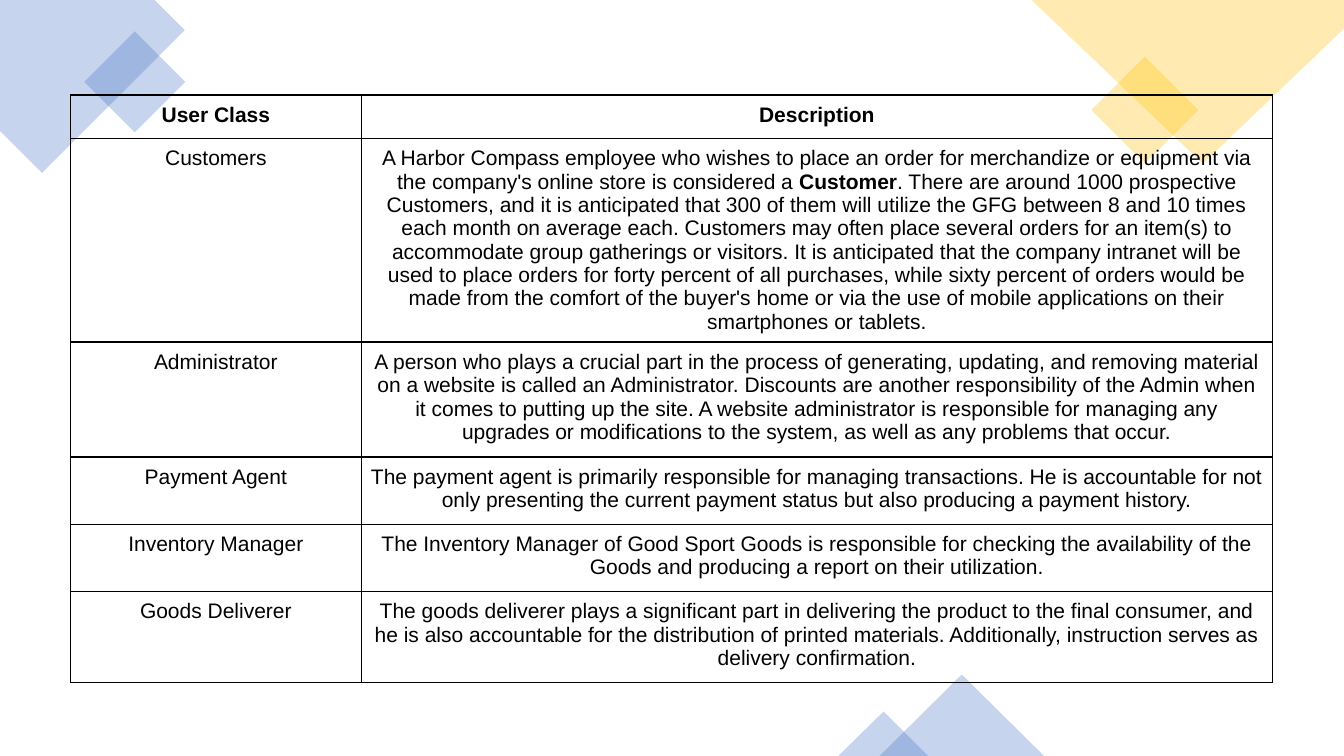
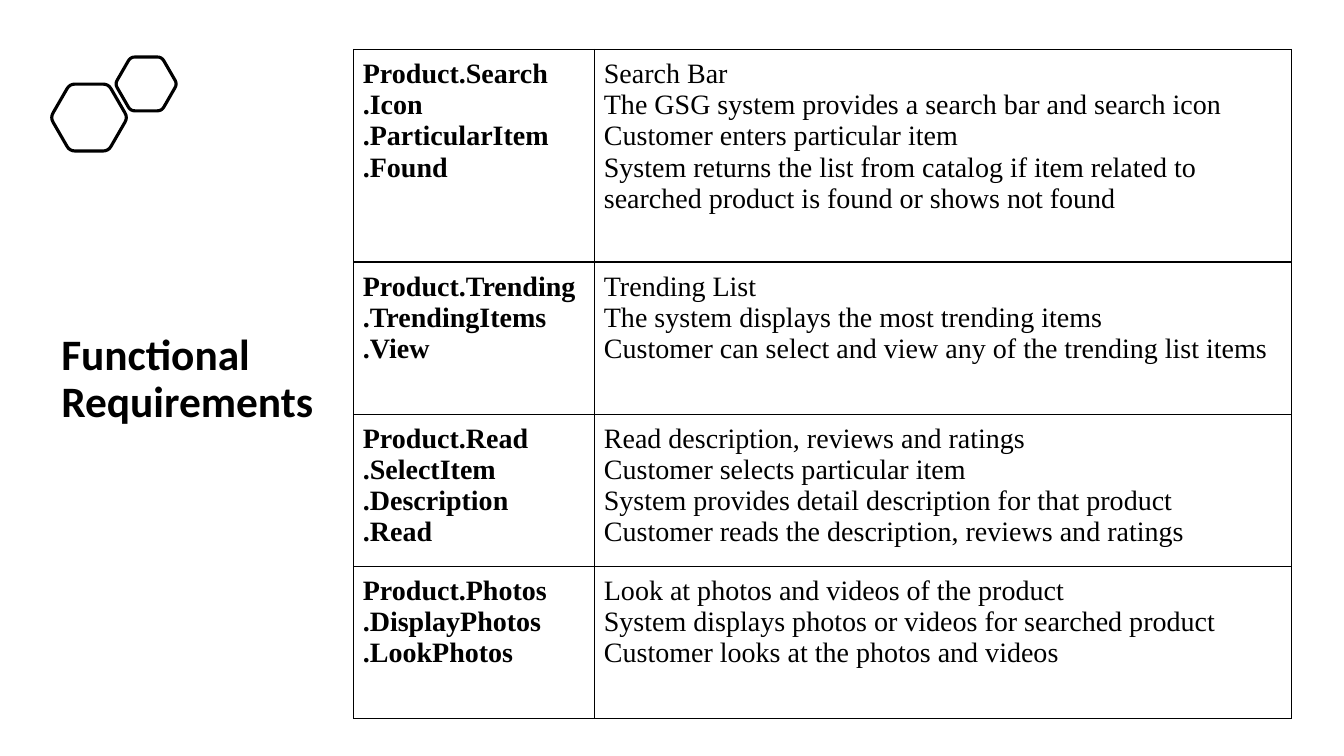
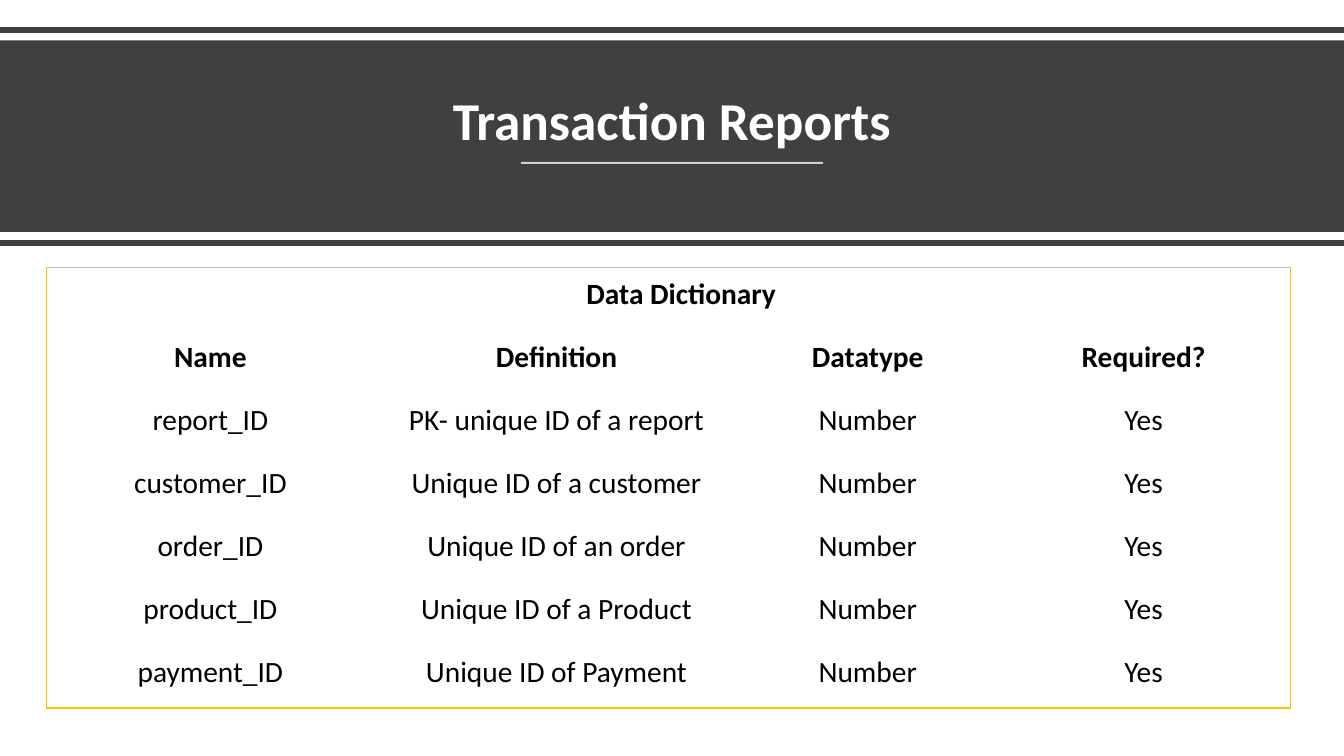
import math

from lxml import etree
from pptx import Presentation
from pptx import util as u
from pptx.dml.color import RGBColor as Rgb
from pptx.enum import shapes, text
from pptx.oxml import ns


class Theme:
    ink, white, dark = "000000", "FFFFFF", "404040"
    blue, gold, grey = "4472C4", "FFC000", "BFBFBF"
    head, sans, serif = "Calibri", "Arial", "Times New Roman"
    side, main = 31, 38
    small, large, dict = 15, 20, 21
    left, mid = text.PP_ALIGN.LEFT, text.PP_ALIGN.CENTER


deck = Presentation()
deck.slide_width, deck.slide_height = u.Inches(13.3333), u.Inches(7.5)
unit = deck.slide_width / 160


def poly(home, pts):
    pts = [(x * unit, y * unit) for x, y in pts]
    pen = home.build_freeform(*pts[0], scale=1.0)
    pen.add_line_segments(pts[1:], close=True)
    shape = pen.convert_to_shape()
    shape.shadow.inherit = False
    return shape


def grid(slide, at, cols, rows, data, face, size, align, pads, bold, rims, inner):
    box = [int(n * unit) for n in (*at, sum(cols), sum(rows))]
    table = slide.shapes.add_table(len(rows), len(cols), *box).table
    table.first_row = table.horz_banding = False
    for col, n in zip(table.columns, cols):
        col.width = int(n * unit)
    for r, (line, n) in enumerate(zip(data, rows)):
        table.rows[r].height = int(n * unit)
        if len(line) == 1:
            table.cell(r, 0).merge(table.cell(r, len(cols) - 1))
        for c in range(len(cols)):
            cell = table.cell(r, c)
            cell.margin_left, cell.margin_right, cell.margin_top, cell.margin_bottom = [
                int(p * unit) for p in pads]
            words = line[c] if c < len(line) else ""
            for i, part in enumerate(words.split("\n")):
                para = cell.text_frame.paragraphs[0] if i == 0 else cell.text_frame.add_paragraph()
                para.alignment = align
                para.font.name, para.font.size = face, u.Pt(size)
                para.font.bold = bold(r, c)
                para.font.color.rgb = Rgb.from_string(Theme.ink)
                for k, bit in enumerate(part.split("**")):
                    run = para.add_run()
                    run.text = bit
                    if k % 2:
                        run.font.bold = True
            ends = (c == 0, c + cell.span_width == len(cols) or c == len(cols) - 1,
                    r == 0, r == len(rows) - 1)
            props = cell._tc.get_or_add_tcPr()
            for side, rim, end in zip("LRTB", rims, ends):
                tone = rim if end else inner
                edge = etree.SubElement(props, ns.qn("a:ln" + side), w=str(u.Pt(1)))
                if tone:
                    fill = etree.SubElement(edge, ns.qn("a:solidFill"))
                    etree.SubElement(fill, ns.qn("a:srgbClr"), val=tone)
                else:
                    etree.SubElement(edge, ns.qn("a:noFill"))
            cell.fill.background()
    return table


users = deck.slides.add_slide(deck.slide_layouts[6])
needs, report = [deck.slides.add_slide(deck.slide_layouts[5]) for _ in range(2)]

for slide, words, box, size, tone, align, after in (
    (needs, "Functional Requirements", (6.1, 32.3, 40.1, 19.1), Theme.side, Theme.ink, Theme.left, 0),
    (report, "Transaction Reports", (7, 6.5, 146, 12.2), Theme.main, Theme.white, Theme.mid, 6),
):
    title = slide.shapes.title
    title.left, title.top, title.width, title.height = [int(n * unit) for n in box]
    frame = title.text_frame
    frame.text = words
    frame.word_wrap, frame.auto_size = True, text.MSO_AUTO_SIZE.NONE
    frame.vertical_anchor = text.MSO_ANCHOR.BOTTOM
    para = frame.paragraphs[0]
    para.alignment, para.line_spacing, para.space_after = align, 0.9, u.Pt(after)
    para.font.name, para.font.size, para.font.bold = Theme.head, u.Pt(size), True
    para.font.color.rgb = Rgb.from_string(tone)

decor = [(poly(users.shapes, pts), tone) for tone, pts in (
    (Theme.blue, [(0, 0), (18.4, 0), (22, 3.6), (5, 20.6), (0, 15.6)]),
    (Theme.gold, [(160, 0), (122.8, 0), (143.2, 19.5), (160, 3.4)]),
    (Theme.blue, [(124.3, 90), (114.5, 80.3), (104.7, 90)]),
    (Theme.blue, [(110.5, 90), (105.2, 84.7), (99.8, 90)]),
)]
for tone, x, y, side in ((Theme.blue, 11.8, 5.5, 8.5), (Theme.gold, 131.8, 8.6, 9)):
    box = [int(n * unit) for n in (x, y, side, side)]
    tile = users.shapes.add_shape(shapes.MSO_SHAPE.RECTANGLE, *box)
    tile.rotation = 315
    tile.shadow.inherit = False
    decor.append((tile, tone))
for shape, tone in decor:
    shape.fill.solid()
    shape.fill.fore_color.rgb = Rgb.from_string(tone)
    shape.line.fill.background()
    color = shape.element.spPr.find(".//" + ns.qn("a:srgbClr"))
    etree.SubElement(color, ns.qn("a:alpha"), val="30000")

roles = [
    ("User Class", "Description"),
    ("Customers",
     "A Harbor Compass employee who wishes to place an order for merchandize or equipment via "
     "the company's online store is considered a **Customer**. There are around 1000 prospective "
     "Customers, and it is anticipated that 300 of them will utilize the GFG between 8 and 10 times "
     "each month on average each. Customers may often place several orders for an item(s) to "
     "accommodate group gatherings or visitors. It is anticipated that the company intranet will be "
     "used to place orders for forty percent of all purchases, while sixty percent of orders would be "
     "made from the comfort of the buyer's home or via the use of mobile applications on their "
     "smartphones or tablets."),
    ("Administrator",
     "A person who plays a crucial part in the process of generating, updating, and removing material "
     "on a website is called an Administrator. Discounts are another responsibility of the Admin when "
     "it comes to putting up the site. A website administrator is responsible for managing any "
     "upgrades or modifications to the system, as well as any problems that occur."),
    ("Payment Agent",
     "The payment agent is primarily responsible for managing transactions. He is accountable for not "
     "only presenting the current payment status but also producing a payment history."),
    ("Inventory Manager",
     "The Inventory Manager of Good Sport Goods is responsible for checking the availability of the "
     "Goods and producing a report on their utilization."),
    ("Goods Deliverer",
     "The goods deliverer plays a significant part in delivering the product to the final consumer, and "
     "he is also accountable for the distribution of printed materials. Additionally, instruction serves "
     "as delivery confirmation."),
]
grid(users, (8.4, 11.3), (34.6, 108.5), (5.2, 22.6, 13.7, 8, 8, 10.8), roles,
     Theme.sans, Theme.small, Theme.mid, (1, 1, 1, 1), lambda r, c: r == 0,
     [Theme.ink] * 4, Theme.ink)

cluster = needs.shapes.add_group_shape()
for x, y, size in ((10.6, 14, 4.6), (17.4, 10, 3.7)):
    tips = [(x + size * math.cos(k * math.pi / 3), y + size * math.sin(k * math.pi / 3))
            for k in range(6)]
    pts = []
    for k, tip in enumerate(tips):
        start, end = [[t + 0.14 * (n - t) for t, n in zip(tip, near)]
                      for near in (tips[k - 1], tips[(k + 1) % 6])]
        for s in (0, 0.25, 0.5, 0.75, 1):
            pts.append([(1 - s) ** 2 * a + 2 * s * (1 - s) * t + s * s * b
                        for a, t, b in zip(start, tip, end)])
    cell = poly(cluster.shapes, pts)
    cell.fill.background()
    cell.line.color.rgb = Rgb.from_string(Theme.ink)
    cell.line.width = u.Pt(2.25)

tasks = [
    ("Product.Search\n.Icon\n.ParticularItem\n.Found",
     "Search Bar\nThe GSG system provides a search bar and search icon\n"
     "Customer enters particular item\n"
     "System returns the list from catalog if item related to searched product is found or shows not found"),
    ("Product.Trending\n.TrendingItems\n.View",
     "Trending List\nThe system displays the most trending items\n"
     "Customer can select and view any of the trending list items"),
    ("Product.Read\n.SelectItem\n.Description\n.Read",
     "Read description, reviews and ratings\nCustomer selects particular item\n"
     "System provides detail description for that product\n"
     "Customer reads the description, reviews and ratings"),
    ("Product.Photos\n.DisplayPhotos\n.LookPhotos",
     "Look at photos and videos of the product\n"
     "System displays photos or videos for searched product\n"
     "Customer looks at the photos and videos"),
]
grid(needs, (42.1, 5.9), (28.7, 83), (25.3, 18.1, 18.1, 18.1), tasks,
     Theme.serif, Theme.large, Theme.left, (1.1, 1.1, 1.1, 1.1), lambda r, c: c == 0,
     [Theme.ink] * 4, Theme.ink)

band = report.shapes.add_shape(shapes.MSO_SHAPE.RECTANGLE, 0, int(4.8 * unit),
                               deck.slide_width, int(22.8 * unit))
band.shadow.inherit = False
band.fill.solid()
band.fill.fore_color.rgb = Rgb.from_string(Theme.dark)
band.line.fill.background()
report.shapes.title.element.addprevious(band.element)

for start, end, y, tone, width, alpha in (
    (0, 160, 3.6, Theme.dark, 4, 100),
    (62, 98, 19.4, Theme.white, 1.5, 75),
    (0, 160, 28.9, Theme.dark, 4, 100),
):
    rule = report.shapes.add_connector(shapes.MSO_CONNECTOR.STRAIGHT,
                                       *[int(n * unit) for n in (start, y, end, y)])
    rule.line.color.rgb = Rgb.from_string(tone)
    rule.line.width = u.Pt(width)
    etree.SubElement(rule.element.spPr, ns.qn("a:effectLst"))
    color = rule.element.spPr.find(".//" + ns.qn("a:srgbClr"))
    etree.SubElement(color, ns.qn("a:alpha"), val=str(alpha * 1000))

fields = [("Data Dictionary",), ("Name", "Definition", "Datatype", "Required?")] + [
    (name + "_ID", note, "Number", "Yes") for name, note in (
        ("report", "PK- unique ID of a report"),
        ("customer", "Unique ID of a customer"),
        ("order", "Unique ID of an order"),
        ("product", "Unique ID of a Product"),
        ("payment", "Unique ID of Payment"),
    )]
table = grid(report, (5.5, 31.8), (39.1, 43.3, 30.8, 34.9), [7.5] * 7, fields,
             Theme.head, Theme.dict, Theme.mid, (1.1, 1.1, 1.1, 1.6), lambda r, c: r < 2,
             (Theme.gold, Theme.gold, Theme.grey, Theme.gold), None)
table.cell(0, 0).margin_left = int(4.2 * unit)

deck.save("out.pptx")
